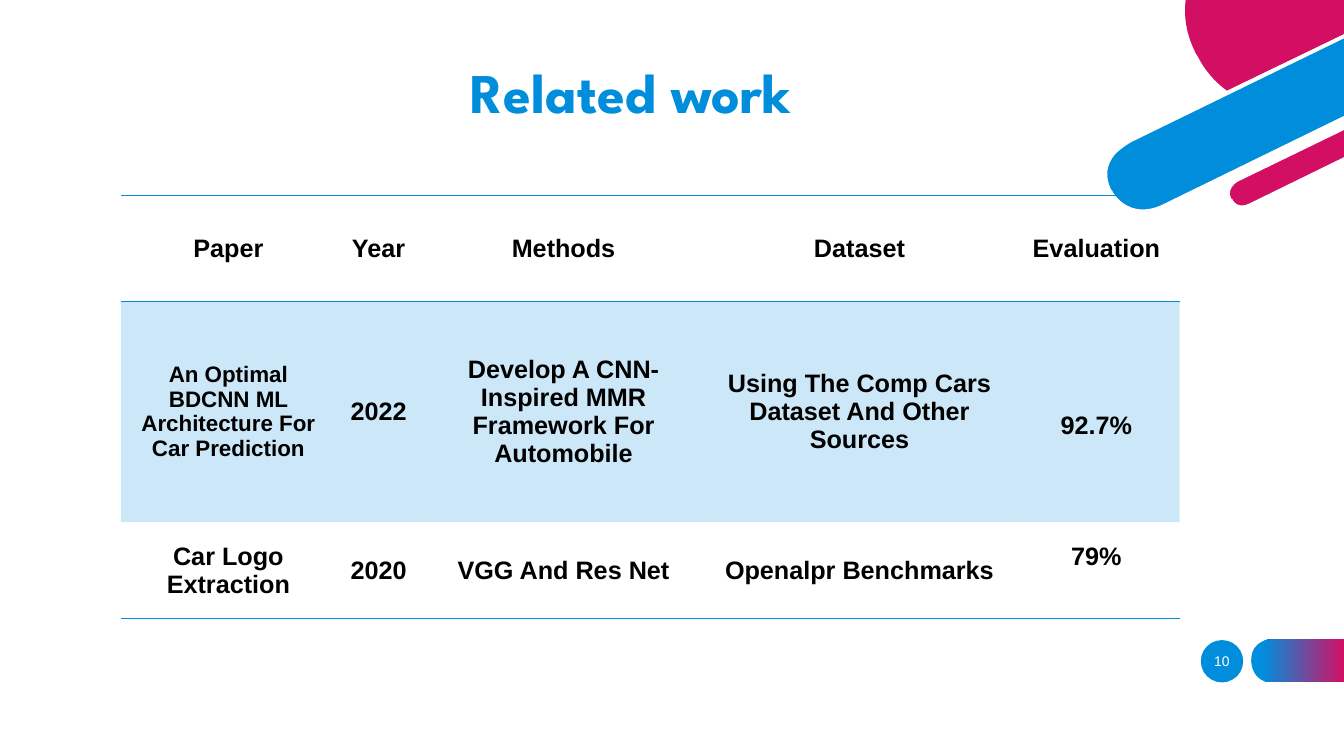
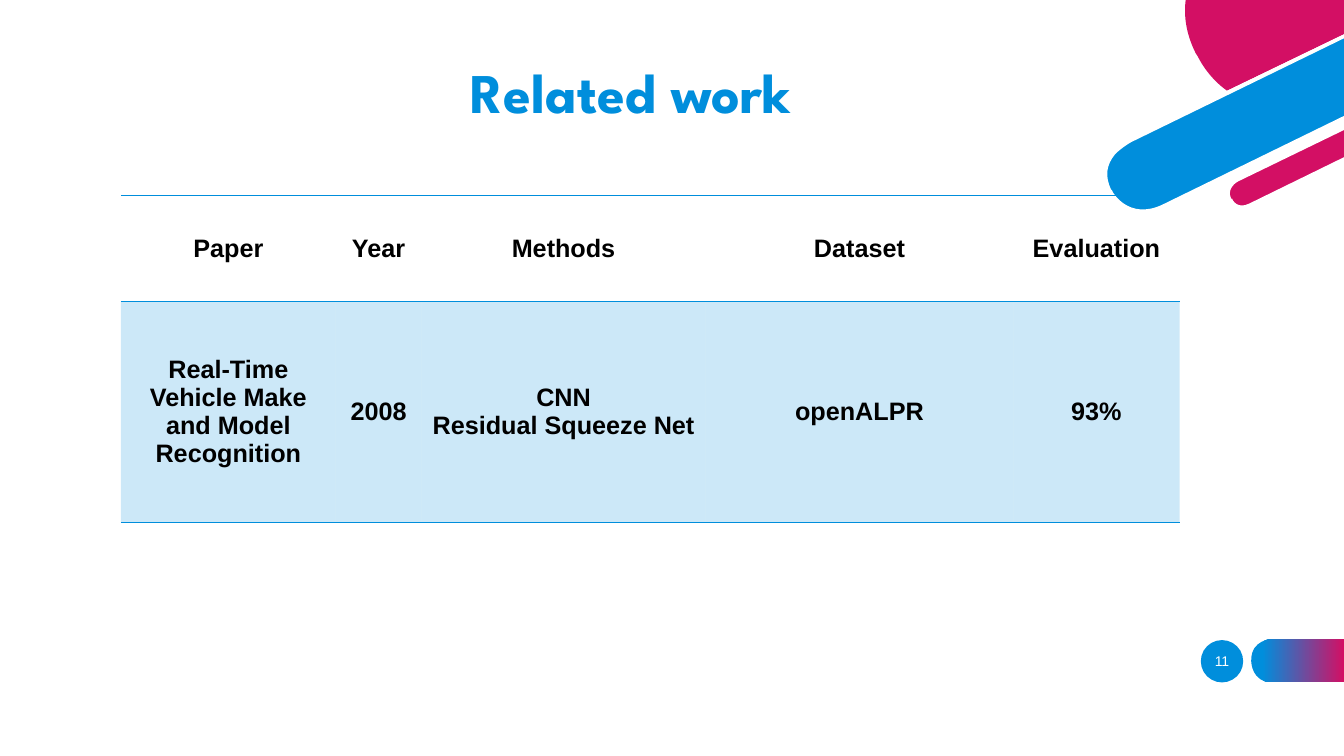
from lxml.etree import SubElement
from pptx import Presentation
from pptx.dml.color import RGBColor
from pptx.enum.shapes import MSO_SHAPE
from pptx.enum.text import MSO_ANCHOR, PP_ALIGN
from pptx.oxml.ns import qn
from pptx.util import Inches, Pt

COLORS = {"blue": "008EDC", "pink": "D30F64", "white": "FFFFFF", "black": "000000"}
BODY_FONT = "Arial"
TITLE_FONT = "League Spartan"
PLAIN_TABLE_STYLE = "{2D5ABB26-0587-4C30-8999-92F81FD0307C}"
ROW_TINT = 20
TEXT_LINE = 0.28

TITLE = "Related work"
HEADER = ["Paper", "Year", "Methods", "Dataset", "Evaluation"]
COLUMN_WIDTHS = [2.13, 0.85, 2.82, 3.05, 1.65]
ROW_HEIGHTS = [1.05, 2.19, 0.96]
TABLE_LEFT, TABLE_TOP = 1.2, 1.94

PAGES = [
    {
        "number": 10,
        "rows": [
            [
                "An Optimal BDCNN ML Architecture For Car Prediction",
                "2022",
                "Develop A CNN-\nInspired MMR\nFramework For\nAutomobile",
                "Using The Comp Cars\nDataset And Other\nSources",
                "92.7%",
            ],
            ["Car Logo Extraction", "2020", "VGG And Res Net", "Openalpr Benchmarks", "79%"],
        ],
        "sizes": {(1, 0): 16},
        "shifts": {(1, 4): TEXT_LINE, (2, 4): -TEXT_LINE},
    },
    {
        "number": 11,
        "rows": [
            [
                "Real-Time Vehicle Make and Model Recognition",
                "2008",
                "CNN\nResidual Squeeze Net",
                "openALPR",
                "93%",
            ],
        ],
        "sizes": {},
        "shifts": {},
    },
]

FOOTER_PILL = [
    (12.62, 6.77), (13.33, 6.77), (13.33, 6.34), (12.62, 6.34),
    (12.62, 6.34, 12.41, 6.34, 12.41, 6.55), (12.41, 6.56),
    (12.41, 6.56, 12.41, 6.77, 12.62, 6.77),
]

CORNER = [
    ("blue", [
        (11.21, 1.39), (11.21, 1.39, 10.85, 1.57, 11.01, 1.89), (11.01, 1.9),
        (11.01, 1.9, 11.17, 2.22, 11.54, 2.04), (13.33, 1.17), (13.33, 0.36),
    ]),
    ("pink", [
        (11.88, 0.56), (11.88, 0.56, 11.97, 0.76, 12.17, 0.9), (13.33, 0.34),
        (13.33, 0), (11.76, 0), (11.74, 0.15, 11.76, 0.33, 11.86, 0.53),
    ]),
    ("pink", [
        (13.33, 1.26), (12.27, 1.78), (12.27, 1.78, 12.13, 1.85, 12.2, 1.97),
        (12.2, 1.98), (12.2, 1.98, 12.26, 2.11, 12.4, 2.04), (13.33, 1.58),
    ]),
    ("white", [
        (12.39, 2.02), (12.27, 2.08, 12.22, 1.98, 12.22, 1.97), (12.21, 1.97),
        (12.16, 1.86, 12.28, 1.8, 12.28, 1.8), (13.33, 1.29), (13.33, 1.24),
        (12.26, 1.76), (12.26, 1.76, 12.19, 1.8, 12.17, 1.87),
        (12.15, 1.91, 12.16, 1.95, 12.18, 1.99),
        (12.2, 2.03, 12.25, 2.08, 12.32, 2.08),
        (12.35, 2.08, 12.38, 2.08, 12.41, 2.06), (13.33, 1.61), (13.33, 1.56),
    ]),
    ("white", [
        (11.53, 2.03), (11.19, 2.19, 11.03, 1.9, 11.03, 1.89), (11.02, 1.88),
        (10.96, 1.75, 10.97, 1.64, 11.06, 1.53),
        (11.13, 1.46, 11.22, 1.41, 11.22, 1.41), (13.33, 0.38), (13.33, 0.34),
        (11.2, 1.37), (11.19, 1.38, 11.02, 1.46, 10.96, 1.63),
        (10.93, 1.71, 10.94, 1.8, 10.99, 1.9), (10.99, 1.91),
        (10.99, 1.91, 11.1, 2.12, 11.33, 2.12),
        (11.39, 2.12, 11.46, 2.1, 11.54, 2.06), (13.33, 1.19), (13.33, 1.15),
    ]),
]


def color(name):
    return RGBColor.from_string(COLORS[name])


def make_plain(shape, fill_name):
    shape.shadow.inherit = False
    shape.line.fill.background()
    shape.fill.solid()
    shape.fill.fore_color.rgb = color(fill_name)


def bend_curves(shape, segments):
    outline = shape._element.find(".//" + qn("a:path"))
    steps = iter(outline.findall(qn("a:lnTo")))
    for segment in segments:
        first = next(steps)
        if len(segment) == 2:
            continue
        curve = SubElement(outline, qn("a:cubicBezTo"))
        first.addprevious(curve)
        for step in (first, next(steps), next(steps)):
            curve.append(step[0])
            outline.remove(step)


def add_outline(slide, outline, fill_name):
    start, *segments = outline
    points = [
        (Inches(segment[i]), Inches(segment[i + 1]))
        for segment in segments for i in range(0, len(segment), 2)
    ]
    builder = slide.shapes.build_freeform(Inches(start[0]), Inches(start[1]))
    builder.add_line_segments(points, close=True)
    shape = builder.convert_to_shape()
    bend_curves(shape, segments)
    make_plain(shape, fill_name)
    return shape


def style_text(frame, font_name, size, color_name, bold=False):
    for paragraph in frame.paragraphs:
        paragraph.alignment = PP_ALIGN.CENTER
        paragraph.font.name = font_name
        paragraph.font.size = Pt(size)
        paragraph.font.bold = bold
        paragraph.font.color.rgb = color(color_name)


def add_text(slide, text, place, *style):
    frame = slide.shapes.add_textbox(*map(Inches, place)).text_frame
    frame.word_wrap = True
    frame.text = text
    style_text(frame, *style)
    return frame


def add_frame(slide):
    badge = slide.shapes.add_shape(
        MSO_SHAPE.OVAL, Inches(11.91), Inches(6.35), Inches(0.42), Inches(0.42))
    make_plain(badge, "blue")

    pill = add_outline(slide, FOOTER_PILL, "blue")
    pill.fill.gradient()
    pill.fill.gradient_angle = 0
    for stop, position, name in zip(pill.fill.gradient_stops, (0.12, 1), ("blue", "pink")):
        stop.position = position
        stop.color.rgb = color(name)

    for fill_name, outline in CORNER:
        add_outline(slide, outline, fill_name)


def add_number(slide, number):
    frame = add_text(slide, str(number), (11.82, 6.36, 0.6, 0.4), BODY_FONT, 10, "white")
    frame.vertical_anchor = MSO_ANCHOR.MIDDLE


def add_title(slide):
    frame = add_text(slide, TITLE, (3.15, 0.6, 6.22, 0.71), TITLE_FONT, 40, "blue", True)
    frame.paragraphs[0].line_spacing = 0.9


def add_border(cell, side):
    line = SubElement(cell._tc.get_or_add_tcPr(), qn("a:ln" + side), w=str(Pt(1)))
    fill = SubElement(line, qn("a:solidFill"))
    SubElement(fill, qn("a:srgbClr"), val=COLORS["blue"])


def fill_cell(cell, tinted):
    if not tinted:
        cell.fill.background()
        return
    cell.fill.solid()
    cell.fill.fore_color.rgb = color("blue")
    tint = cell._tc.tcPr.find(qn("a:solidFill")).find(qn("a:srgbClr"))
    SubElement(tint, qn("a:alpha"), val=str(ROW_TINT * 1000))


def add_paper_table(slide, page):
    rows = [HEADER] + page["rows"]
    heights = ROW_HEIGHTS[:len(rows)]
    table = slide.shapes.add_table(
        len(rows), len(HEADER), Inches(TABLE_LEFT), Inches(TABLE_TOP),
        Inches(sum(COLUMN_WIDTHS)), Inches(sum(heights))).table
    table.horz_banding = False
    table._tbl.tblPr.find(qn("a:tableStyleId")).text = PLAIN_TABLE_STYLE
    for column, width in zip(table.columns, COLUMN_WIDTHS):
        column.width = Inches(width)
    for row, height in zip(table.rows, heights):
        row.height = Inches(height)

    for row_index, texts in enumerate(rows):
        for column_index, text in enumerate(texts):
            place = (row_index, column_index)
            cell = table.cell(*place)
            cell.text = text
            cell.vertical_anchor = MSO_ANCHOR.MIDDLE
            shift = page["shifts"].get(place, 0)
            cell.margin_top = Inches(0.05 + max(shift, 0))
            cell.margin_bottom = Inches(0.05 + max(-shift, 0))
            style_text(cell.text_frame, BODY_FONT, page["sizes"].get(place, 18), "black", True)
            if row_index == 0:
                add_border(cell, "T")
            if row_index in (0, len(rows) - 1):
                add_border(cell, "B")
            fill_cell(cell, tinted=row_index % 2 == 1)


def main():
    presentation = Presentation()
    presentation.slide_width = Inches(13.33)
    presentation.slide_height = Inches(7.5)
    for page in PAGES:
        slide = presentation.slides.add_slide(presentation.slide_layouts[6])
        add_frame(slide)
        add_number(slide, page["number"])
        add_paper_table(slide, page)
        add_title(slide)
    presentation.save("out.pptx")


if __name__ == "__main__":
    main()
